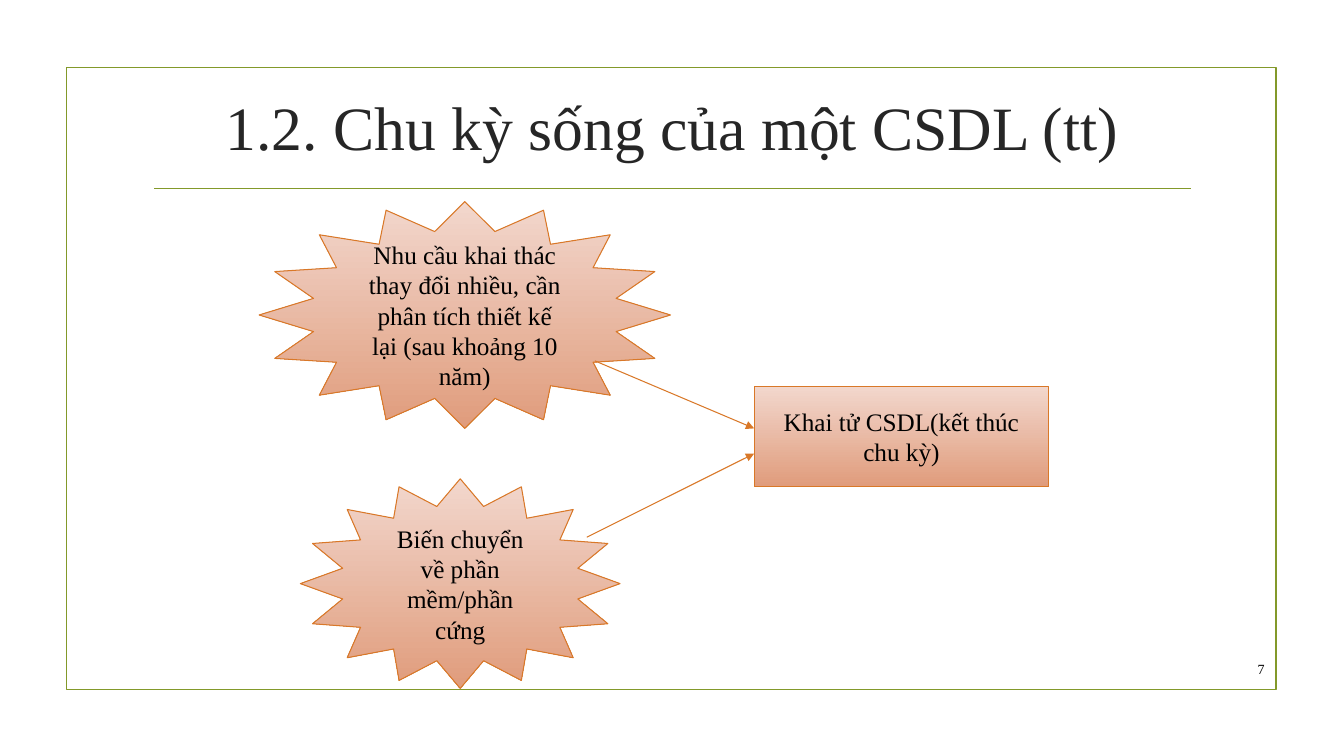
import lxml.etree
import pptx
import pptx.dml.color
import pptx.enum.shapes
import pptx.enum.text
import pptx.oxml.ns
import pptx.util

Inches = pptx.util.Inches
Pt = pptx.util.Pt
qn = pptx.oxml.ns.qn
SHAPE = pptx.enum.shapes.MSO_SHAPE
ALIGN = pptx.enum.text.PP_ALIGN

FONT = "Times New Roman"
COLORS = {
    "frame": "83992A",
    "title": "262626",
    "text": "000000",
    "outline": "D97828",
    "light": "F2D7CD",
    "dark": "E09C7C",
}


def rgb(name):
    return pptx.dml.color.RGBColor.from_string(COLORS[name])


def write(shape, text, size, color="text", align=ALIGN.CENTER):
    frame = shape.text_frame
    frame.word_wrap = True
    frame.vertical_anchor = pptx.enum.text.MSO_ANCHOR.MIDDLE
    paragraph = frame.paragraphs[0]
    paragraph.alignment = align
    run = paragraph.add_run()
    run.text = text
    run.font.name = FONT
    run.font.size = Pt(size)
    run.font.color.rgb = rgb(color)


def add_label(slide, box, text, size, color="text", align=ALIGN.CENTER):
    label = slide.shapes.add_textbox(*map(Inches, box))
    write(label, text, size, color, align)


def add_outlined(slide, kind, box, color, width):
    shape = slide.shapes.add_shape(kind, *map(Inches, box))
    shape.shadow.inherit = False
    shape.line.color.rgb = rgb(color)
    shape.line.width = Pt(width)
    return shape


def add_node(slide, kind, box, text):
    node = add_outlined(slide, kind, box, "outline", 0.75)
    node.fill.gradient()
    node.fill.gradient_angle = 270  # light at the top, dark at the bottom
    for stop, color, position in zip(node.fill.gradient_stops, ("light", "dark"), (0, 1)):
        stop.color.rgb = rgb(color)
        stop.position = position
    if kind == SHAPE.STAR_16_POINT:
        node.adjustments[0] = 0.375
    write(node, text, 18)


def add_line(slide, start, end, color, width, arrow=False):
    line = slide.shapes.add_connector(
        pptx.enum.shapes.MSO_CONNECTOR.STRAIGHT, *map(Inches, start + end))
    line.line.color.rgb = rgb(color)
    line.line.width = Pt(width)
    properties = line._element.spPr
    if arrow:
        outline = properties.find(qn("a:ln"))
        lxml.etree.SubElement(outline, qn("a:tailEnd"), type="triangle")
    lxml.etree.SubElement(properties, qn("a:effectLst"))


def main():
    deck = pptx.Presentation()
    deck.slide_width = Inches(13.33)
    deck.slide_height = Inches(7.5)
    slide = deck.slides.add_slide(deck.slide_layouts[6])

    # Frame, title and rule
    frame = add_outlined(slide, SHAPE.RECTANGLE, (0.66, 0.67, 12, 6.17), "frame", 1.25)
    frame.fill.background()
    add_line(slide, (1.53, 1.87), (11.81, 1.87), "frame", 1.25)
    add_label(slide, (1.42, 0.68, 10.5, 1.14),
              "1.2. Chu kỳ sống của một CSDL (tt)", 44, "title")

    # Two causes and the end of the cycle
    add_node(slide, SHAPE.STAR_16_POINT, (2.57, 2, 4.08, 2.25),
             "Nhu cầu khai thác thay đổi nhiều, cần phân tích thiết kế lại (sau khoảng 10 năm)")
    add_node(slide, SHAPE.STAR_16_POINT, (2.98, 4.75, 3.17, 2.08),
             "Biến chuyển về phần mềm/phần cứng")
    add_node(slide, SHAPE.RECTANGLE, (7.48, 3.83, 2.92, 1),
             "Khai tử CSDL(kết thúc chu kỳ)")

    # Arrows from each cause to the end
    for start, end in (((5.9, 3.58), (7.48, 4.25)), ((5.82, 5.33), (7.48, 4.5))):
        add_line(slide, start, end, "outline", 0.75, arrow=True)

    # Slide number
    add_label(slide, (12.05, 6.48, 0.59, 0.31), "7", 10, align=ALIGN.RIGHT)

    deck.save("out.pptx")


if __name__ == "__main__":
    main()
